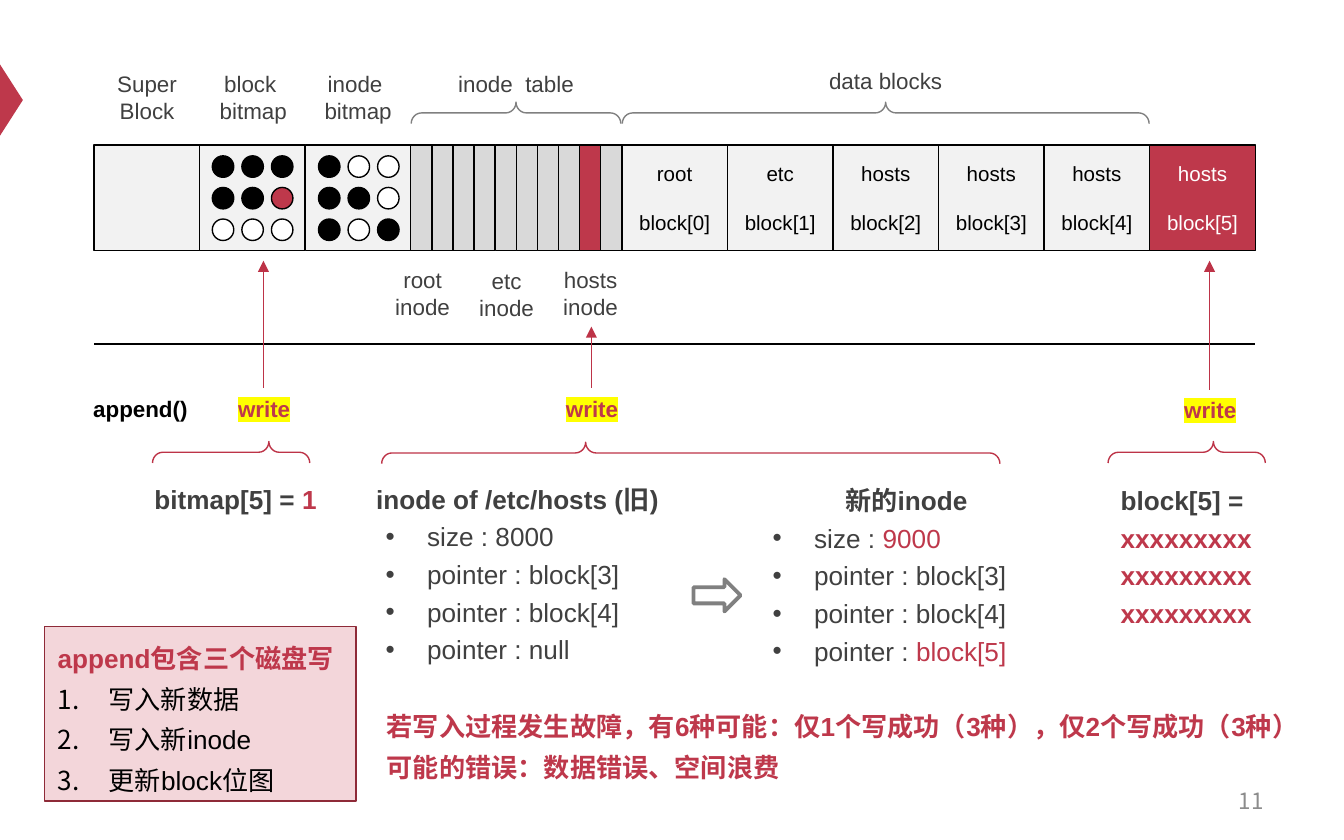
"""Draw how an append updates the bitmap, the inode and a data block on disk."""
from dataclasses import dataclass
from typing import Optional

from lxml import etree
from pptx import Presentation, util as u
from pptx.dml import color
from pptx.enum import shapes, text
from pptx.oxml import ns

RED, BRACE_RED, GREY, DARK = "BE384B", "BD3347", "808080", "404040"
BLACK, WHITE, PALE, SILVER = "000000", "FFFFFF", "F2F2F2", "D9D9D9"
LATIN, CHINESE = "Arial", "Noto Sans CJK SC"
LEFT, TOP, END = 0.7, 1.08, 9.34
CELL = (END - LEFT) / 11
SLOT = CELL / 5
KIND = shapes.MSO_SHAPE
ALIGN = text.PP_ALIGN


@dataclass
class Span:
    """Hold a piece of text with its own colour or highlight."""
    words: str
    ink: Optional[str] = None
    highlight: Optional[str] = None


@dataclass
class Line:
    """Hold one paragraph and its format."""
    spans: list[Span]
    size: float = 12
    ink: str = DARK
    bold: bool = False
    align: ALIGN = ALIGN.CENTER
    spacing: float = 1
    before: float = 0
    bullet: str = ""
    font: str = LATIN


@dataclass
class Label:
    """Hold a centred caption of one or more lines."""
    left: float
    top: float
    width: float
    lines: list[str]


@dataclass
class Brace:
    """Hold a rotated brace by its unrotated frame and tip position."""
    left: float
    top: float
    length: float
    tip: float
    ink: str


@dataclass
class Write:
    """Hold one disk write and its arrow."""
    left: float
    top: float
    arrow: float
    head: float


def rgb(value: str) -> color.RGBColor:
    """Turn a hex string into a colour."""
    return color.RGBColor.from_string(value)


def add_child(parent, tag: str, **attributes: str):
    """Append a drawing element to its parent."""
    child = etree.SubElement(parent, ns.qn(tag))
    for name, value in attributes.items():
        child.set(name, value)
    return child


def set_bullet(para, bullet: str) -> None:
    """Give a paragraph a hanging bullet or automatic number."""
    props = para._p.get_or_add_pPr()
    numbered = bullet == "1."
    props.set("marL", str(u.Inches(0.38)))
    props.set("indent", str(u.Inches(-0.38 if numbered else -0.31)))
    holder = etree.Element("marks")
    add_child(holder, "a:buFont", typeface=CHINESE if numbered else LATIN)
    if numbered:
        add_child(holder, "a:buAutoNum", type="arabicPeriod")
    else:
        add_child(holder, "a:buChar", char=bullet)
    for mark in list(holder):
        props.insert_element_before(mark, "a:tabLst", "a:defRPr", "a:extLst")


def write_lines(frame, lines: list[Line]) -> None:
    """Fill a text frame with formatted paragraphs."""
    for index, line in enumerate(lines):
        para = frame.add_paragraph() if index else frame.paragraphs[0]
        para.alignment, para.line_spacing = line.align, line.spacing
        para.space_before = u.Pt(line.before)
        para.font.name, para.font.size = line.font, u.Pt(line.size)
        para.font.bold = line.bold
        para.font.color.rgb = rgb(line.ink)
        if line.bullet:
            set_bullet(para, line.bullet)
        for item in line.spans:
            span = para.add_run()
            span.text = item.words
            if item.ink:
                span.font.color.rgb = rgb(item.ink)
            if item.highlight:
                mark = add_child(span._r.get_or_add_rPr(), "a:highlight")
                add_child(mark, "a:srgbClr", val=item.highlight)


def add_text(page, left: float, top: float, width: float, height: float,
             lines: list[Line], wrap: bool = True):
    """Add a text box."""
    box = page.shapes.add_textbox(*map(u.Inches, (left, top, width, height)))
    box.text_frame.word_wrap = wrap
    write_lines(box.text_frame, lines)
    return box


def add_box(page, kind, left: float, top: float, width: float, height: float,
            fill: Optional[str] = None, line: Optional[str] = BLACK, weight: float = 0.75):
    """Add a flat preset shape."""
    box = page.shapes.add_shape(kind, *map(u.Inches, (left, top, width, height)))
    box.shadow.inherit = False
    if fill:
        box.fill.solid()
        box.fill.fore_color.rgb = rgb(fill)
    else:
        box.fill.background()
    if line:
        box.line.color.rgb = rgb(line)
        box.line.width = u.Pt(weight)
    else:
        box.line.fill.background()
    return box


def add_line(page, x1: float, y1: float, x2: float, y2: float, ink: str, arrow: bool = False) -> None:
    """Add a straight line, with an arrowhead at its start if asked."""
    line = page.shapes.add_connector(shapes.MSO_CONNECTOR.STRAIGHT, *map(u.Inches, (x1, y1, x2, y2)))
    line.line.color.rgb = rgb(ink)
    line.line.width = u.Pt(0.75)
    if arrow:
        add_child(line.line._get_or_add_ln(), "a:headEnd", type="triangle")
    add_child(line._element.spPr, "a:effectLst")


def add_brace(page, brace: Brace) -> None:
    """Add a brace that points upwards."""
    box = add_box(page, KIND.RIGHT_BRACE, brace.left, brace.top, 0.16, brace.length, line=brace.ink)
    box.rotation = 270
    box.adjustments[0], box.adjustments[1] = 0.48, brace.tip


def add_bitmap(page, left: float, top: float, inks: list[str]) -> None:
    """Add a three by three grid of bits."""
    for index, ink in enumerate(inks):
        row, column = divmod(index, 3)
        add_box(page, KIND.OVAL, left + column * 0.22, top + row * 0.235, 0.16, 0.16, ink)


def add_disk(page) -> None:
    """Add the row of disk regions."""
    for index in range(3):
        add_box(page, KIND.RECTANGLE, LEFT + index * CELL, TOP, CELL, CELL, PALE)
    add_bitmap(page, 1.58, 1.16, [BLACK] * 5 + [RED] + [WHITE] * 3)
    add_bitmap(page, 2.37, 1.16, [BLACK, WHITE, WHITE, BLACK, BLACK, WHITE, BLACK, WHITE, BLACK])
    for index in range(10):
        add_box(page, KIND.RECTANGLE, LEFT + 3 * CELL + index * SLOT, TOP, SLOT, CELL,
                RED if index == 8 else SILVER)
    for index, owner in enumerate(["root", "etc"] + ["hosts"] * 4):
        fill, ink = (RED, WHITE) if index == 5 else (PALE, BLACK)
        box = add_box(page, KIND.RECTANGLE, LEFT + (5 + index) * CELL, TOP, CELL, CELL, fill)
        write_lines(box.text_frame, [Line([Span(owner)], 11, ink),
                                     Line([Span(f"block[{index}]")], 11, ink, before=13)])


def heading(*spans: Span, align: ALIGN = ALIGN.LEFT) -> Line:
    """Make a bold heading line."""
    return Line(list(spans), 14, bold=True, align=align, spacing=1.2)


def field(name: str, value: str, ink: Optional[str] = None) -> Line:
    """Make a bulleted inode field."""
    return Line([Span(f"{name} : "), Span(value, ink)], 14, align=ALIGN.LEFT, spacing=1.2, bullet="•")


def note(words: str, ink: str = RED, bullet: str = "") -> Line:
    """Make a line of a closing note."""
    return Line([Span(words)], 14, ink, not bullet, ALIGN.LEFT, 1.3, bullet=bullet)


LABELS = [
    Label(0.71, 0.47, 0.77, ["Super", "Block"]), Label(1.49, 0.47, 0.79, ["block ", "bitmap"]),
    Label(2.27, 0.47, 0.79, ["inode ", "bitmap"]), Label(3.06, 0.47, 1.56, ["inode  table"]),
    Label(4.63, 0.45, 3.92, ["data blocks"]), Label(2.78, 1.93, 0.73, ["root", "inode"]),
    Label(3.44, 1.94, 0.66, ["etc", "inode"]), Label(3.81, 1.93, 1.17, ["hosts", "inode"]),
]
BRACES = [
    Brace(3.76, 0.06, 1.56, 0.5, GREY), Brace(6.51, -1.12, 3.92, 0.5, GREY),
    Brace(5.06, 1.07, 4.6, 0.33, BRACE_RED), Brace(1.64, 2.78, 1.17, 0.74, BRACE_RED),
    Brace(8.75, 2.78, 1.17, 0.67, BRACE_RED),
]
WRITES = [Write(1.62, 2.89, 1.96, 1.94), Write(4.06, 2.89, 4.4, 2.43), Write(8.66, 2.9, 9, 1.94)]


def main() -> None:
    """Build and save the deck."""
    deck = Presentation()
    deck.slide_width, deck.slide_height = u.Inches(10), u.Inches(6.25)
    page = deck.slides.add_slide(deck.slide_layouts[6])
    add_box(page, KIND.ISOSCELES_TRIANGLE, -0.18, 0.66, 0.53, 0.17, RED, None).rotation = 90
    number = add_text(page, 7.17, 5.79, 2.33, 0.33,
                      [Line([Span("11")], ink="8C8C8C", align=ALIGN.RIGHT, font=CHINESE)])
    number.text_frame.vertical_anchor = text.MSO_ANCHOR.MIDDLE
    add_disk(page)
    for label in LABELS:
        add_text(page, label.left, label.top, label.width, 0.1 + 0.2 * len(label.lines),
                 [Line([Span(words)]) for words in label.lines])
    for brace in BRACES:
        add_brace(page, brace)
    add_line(page, LEFT, 2.56, END, 2.56, BLACK)
    add_text(page, 0.59, 2.89, 0.91, 0.3, [Line([Span("append()")], ink=BLACK, bold=True)], False)
    for step in WRITES:
        add_text(page, step.left, step.top, 0.69, 0.3,
                 [Line([Span("write", highlight="FFFF00")], ink=RED, bold=True)], False)
        add_line(page, step.arrow, step.head, step.arrow, step.top, BRACE_RED, True)

    kept = [field("pointer", "block[3]"), field("pointer", "block[4]")]
    add_text(page, 1.05, 3.5, 1.48, 0.74, [heading(Span("bitmap[5] = "), Span("1", RED))])
    add_text(page, 2.7, 3.5, 2.88, 1.97, [heading(Span("inode of /etc/hosts (旧)")),
             field("size", "8000"), *kept, field("pointer", "null")])
    add_text(page, 5.58, 3.51, 2.33, 1.97, [heading(Span("新的inode"), align=ALIGN.CENTER),
             field("size", "9000", RED), *kept, field("pointer", "block[5]", RED)])
    add_text(page, 8.24, 3.51, 1.27, 1.66, [heading(Span("block[5] = "), Span("x" * 27, RED))])
    add_box(page, KIND.RIGHT_ARROW, 5.16, 4.31, 0.35, 0.24, line=GREY, weight=2)

    summary = add_box(page, KIND.RECTANGLE, 0.33, 4.66, 2.32, 1.3, "F3D6DA", "8E2A38")
    summary.text_frame.vertical_anchor = text.MSO_ANCHOR.TOP
    steps = ["写入新数据", "写入新inode", "更新block位图"]
    write_lines(summary.text_frame, [note("append包含三个磁盘写"),
                                     *(note(step, BLACK, "1.") for step in steps)])
    add_text(page, 2.78, 5.17, 7, 0.68, [
        note("若写入过程发生故障，有6种可能：仅1个写成功（3种），仅2个写成功（3种）"),
        note("可能的错误：数据错误、空间浪费")])
    deck.save("out.pptx")


if __name__ == "__main__":
    main()
